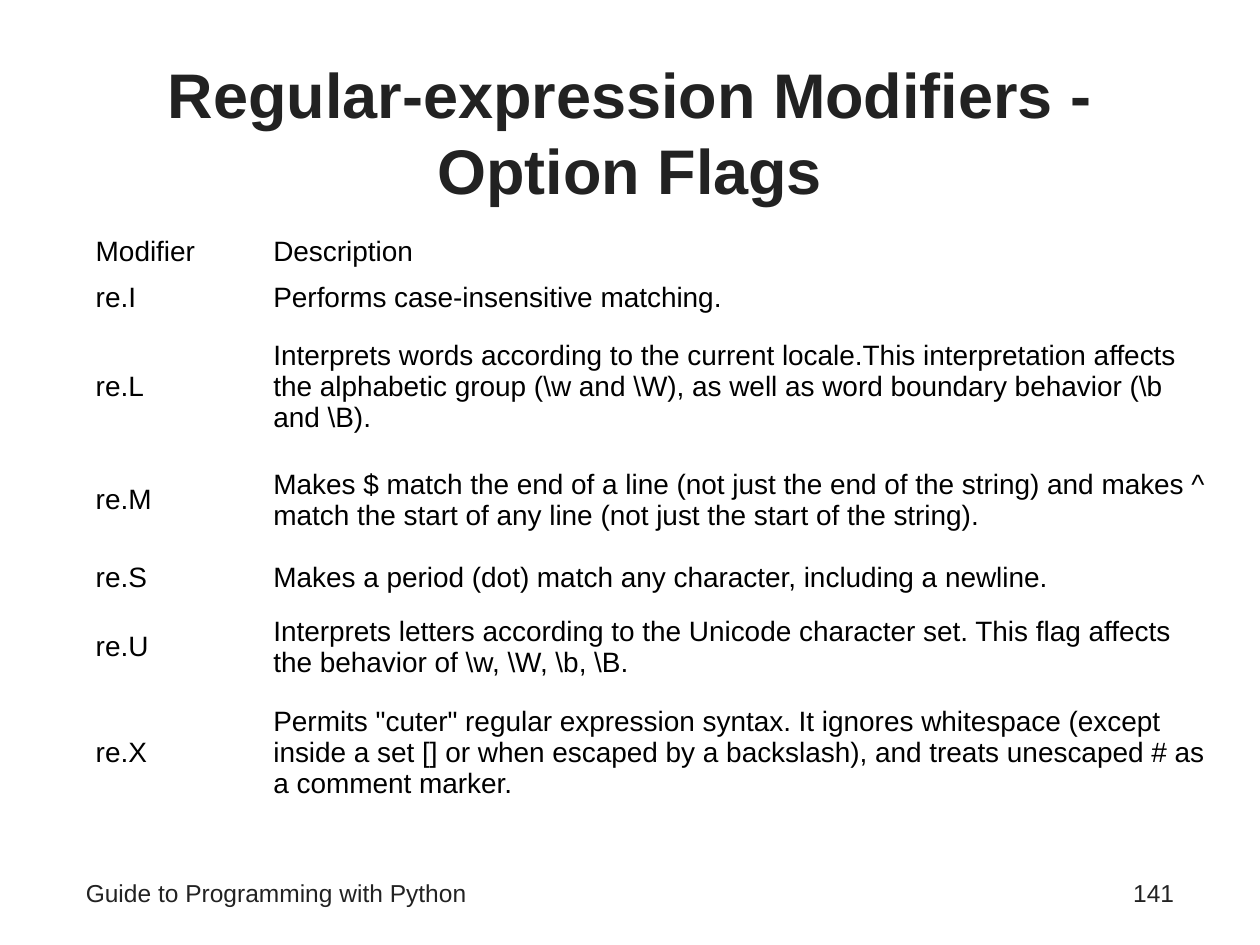
from pptx import Presentation
from pptx.dml.color import RGBColor
from pptx.enum.text import MSO_ANCHOR, PP_ALIGN
from pptx.util import Cm, Pt

LEFT, CENTER, RIGHT = PP_ALIGN.LEFT, PP_ALIGN.CENTER, PP_ALIGN.RIGHT
TOP, MIDDLE = MSO_ANCHOR.TOP, MSO_ANCHOR.MIDDLE
COLORS = {"heading": "222222", "body": "000000"}


def write(frame, text, size, color, align=LEFT, bold=False):
    frame.word_wrap = True
    frame.text = text
    paragraph = frame.paragraphs[0]
    paragraph.alignment = align
    font = paragraph.runs[0].font
    font.name = "Arial"
    font.size = Pt(size)
    font.bold = bold
    font.color.rgb = RGBColor.from_string(COLORS[color])


prs = Presentation()
prs.slide_width, prs.slide_height = Cm(25.4), Cm(19.05)
slide = prs.slides.add_slide(prs.slide_layouts[6])

labels = [
    ("Regular-expression Modifiers - Option Flags", 1.48, 1.06, 22.44, 3.18, 36, CENTER, MIDDLE, True),
    ("Guide to Programming with Python", 1.48, 17.57, 16.3, 1.06, 14, LEFT, TOP, False),
    ("141", 18.2, 17.57, 5.72, 1.06, 14, RIGHT, TOP, False),
]
for text, left, top, width, height, size, align, anchor, bold in labels:
    label = slide.shapes.add_textbox(Cm(left), Cm(top), Cm(width), Cm(height))
    label.text_frame.vertical_anchor = anchor
    write(label.text_frame, text, size, "heading", align, bold)

modifiers = [
    (0.79, "Modifier", "Description"),
    (0.84, "re.I", "Performs case-insensitive matching."),
    (2.64, "re.L", "Interprets words according to the current locale.This interpretation affects "
     "the alphabetic group (\\w and \\W), as well as word boundary behavior (\\b and \\B)."),
    (1.93, "re.M", "Makes $ match the end of a line (not just the end of the string) and makes ^ "
     "match the start of any line (not just the start of the string)."),
    (1.19, "re.S", "Makes a period (dot) match any character, including a newline."),
    (1.55, "re.U", "Interprets letters according to the Unicode character set. This flag affects "
     "the behavior of \\w, \\W, \\b, \\B."),
    (2.64, "re.X", "Permits \"cuter\" regular expression syntax. It ignores whitespace (except "
     "inside a set [] or when escaped by a backslash), and treats unescaped # as a comment marker."),
]
flags = slide.shapes.add_table(
    len(modifiers), 2, Cm(1.8), Cm(4.6), Cm(22.81), Cm(11.58)).table
flags.first_row = False
flags.horz_banding = False
flags.columns[0].width = Cm(3.58)
flags.columns[1].width = Cm(19.23)

for row, (height, *texts) in zip(flags.rows, modifiers):
    row.height = Cm(height)
    for cell, text in zip(row.cells, texts):
        cell.fill.background()
        cell.vertical_anchor = MIDDLE
        cell.margin_left = cell.margin_right = Cm(0.13)
        cell.margin_top = cell.margin_bottom = Cm(0.13)
        write(cell.text_frame, text, 16, "body")

prs.save("out.pptx")
